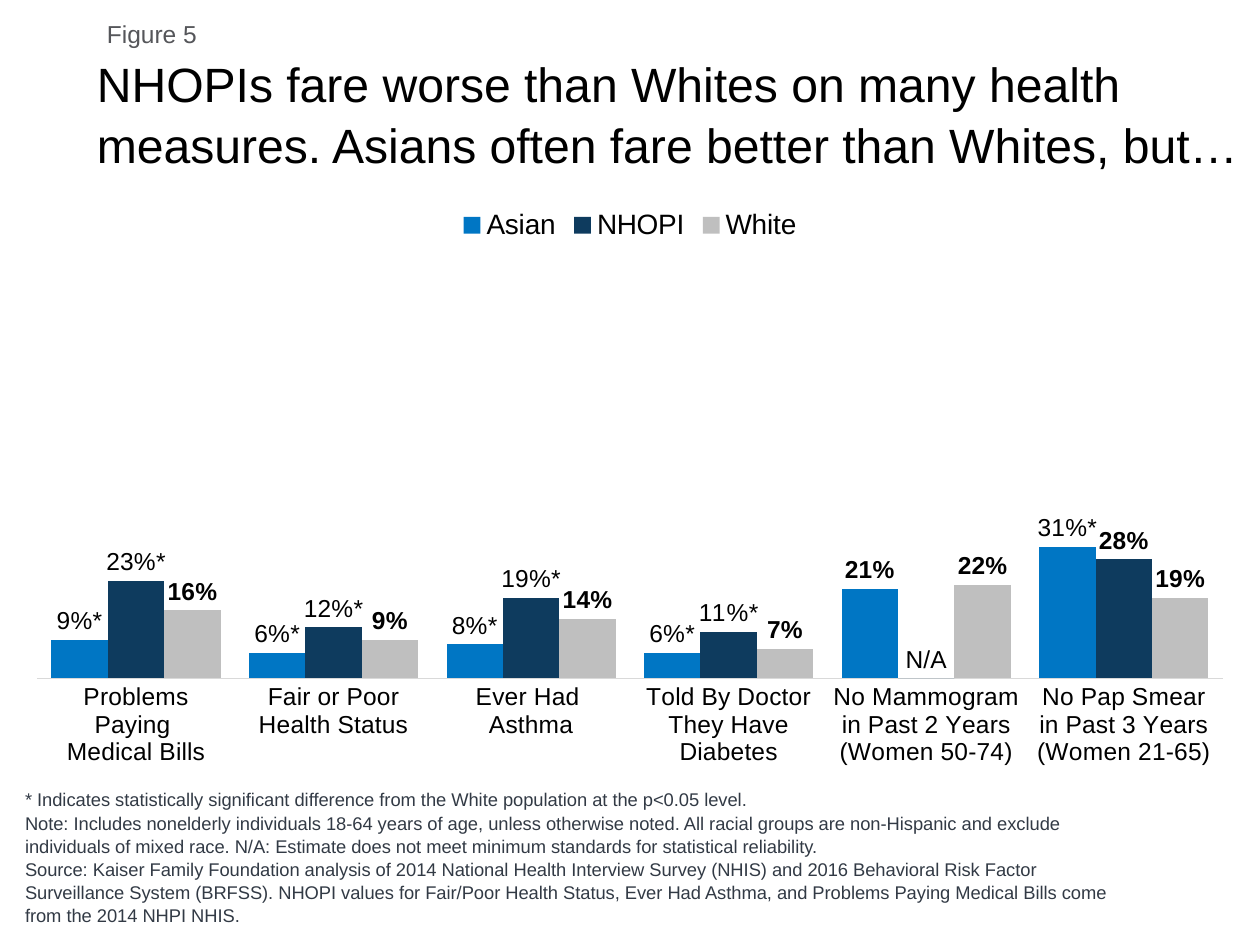
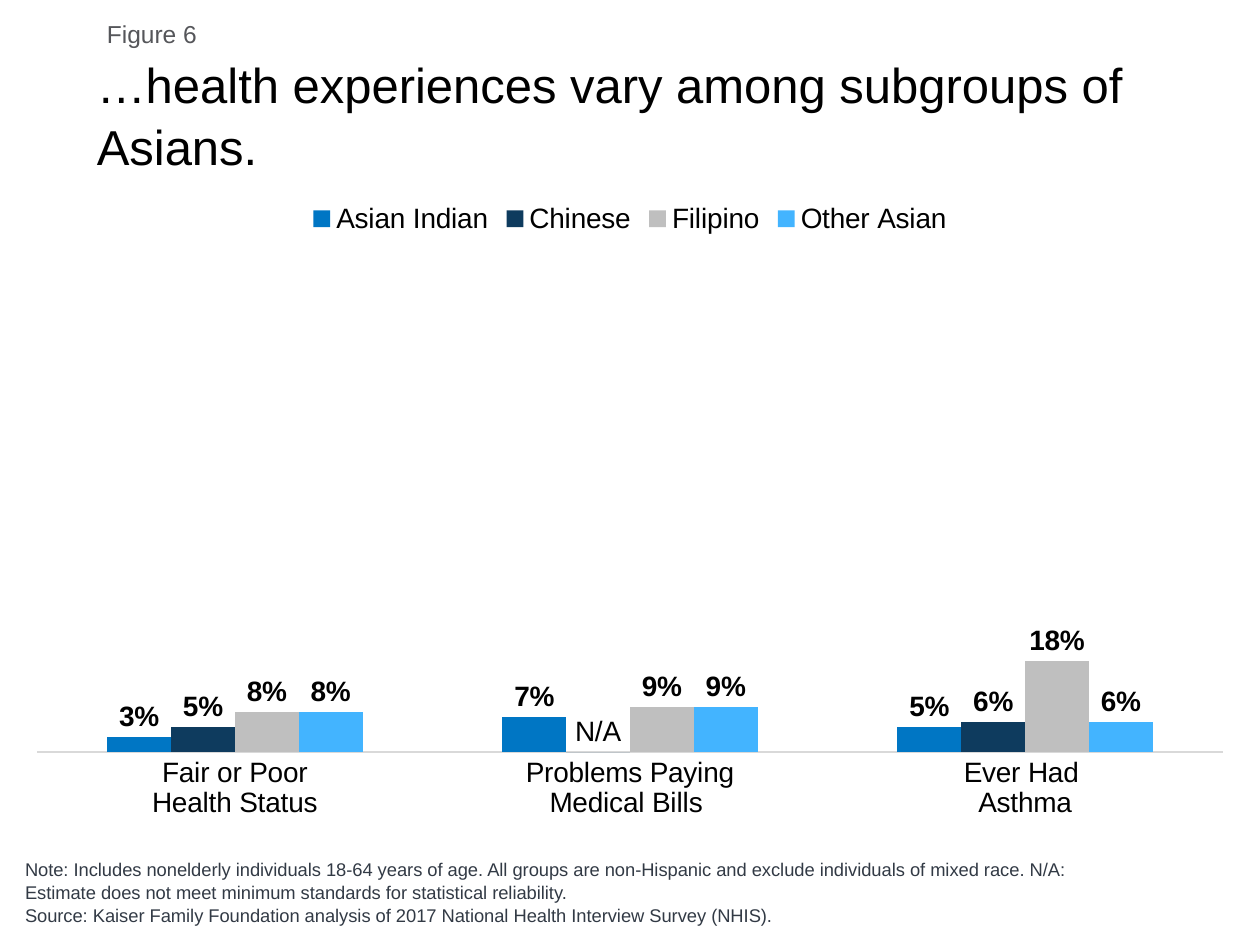
import lxml.etree
import pptx
import pptx.chart.data
import pptx.dml.color
import pptx.enum.chart
import pptx.enum.text
import pptx.oxml.ns
import pptx.util

Inches = pptx.util.Inches
Pt = pptx.util.Pt
RGBColor = pptx.dml.color.RGBColor
qn = pptx.oxml.ns.qn
ANCHOR = pptx.enum.text.MSO_ANCHOR

BLACK = RGBColor(0x00, 0x00, 0x00)
LABEL_GRAY = RGBColor(0x55, 0x56, 0x5A)
NOTE_GRAY = RGBColor(0x32, 0x3A, 0x45)
AXIS_GRAY = RGBColor(0xD9, 0xD9, 0xD9)
BLUE = RGBColor(0x00, 0x76, 0xC4)
NAVY = RGBColor(0x0E, 0x3B, 0x5E)
SILVER = RGBColor(0xBF, 0xBF, 0xBF)
SKY = RGBColor(0x43, 0xB4, 0xFF)
SERIES_COLORS = (BLUE, NAVY, SILVER, SKY)
FONT = "Arial"


class FigureDeck:
    def __init__(self):
        self.deck = pptx.Presentation()
        self.deck.slide_width = Inches(10)
        self.deck.slide_height = Inches(7.5)
        self.page = None

    def style(self, font, size, color=BLACK, bold=False):
        font.name = FONT
        font.size = Pt(size)
        font.bold = bold
        font.color.rgb = color

    def text(self, place, lines, size, color, anchor=ANCHOR.TOP, spacing=1.0):
        box = self.page.shapes.add_textbox(*map(Inches, place))
        frame = box.text_frame
        frame.word_wrap = True
        frame.vertical_anchor = anchor
        frame.text = "\n".join(lines)
        for para in frame.paragraphs:
            para.line_spacing = spacing
            for span in para.runs:
                self.style(span.font, size, color)

    def figure(self, number, title, title_size, title_width, notes):
        self.page = self.deck.slides.add_slide(self.deck.slide_layouts[6])
        self.text((0.75, 0.1, 9.15, 0.34), [f"Figure {number}"], 14, LABEL_GRAY)
        self.text((0.67, 0.36, title_width, 1), [title], title_size, BLACK, spacing=1.05)
        self.text((0.1, 6.8, 8.98, 0.6), notes, 10.5, NOTE_GRAY, ANCHOR.BOTTOM, 1.05)

    def columns(self, top, height, categories, series, special, size, gap, plot_top, plot_height):
        data = pptx.chart.data.CategoryChartData(number_format="0%")
        data.categories = categories
        for name, values in series.items():
            data.add_series(name, values)
        chart = self.page.shapes.add_chart(
            pptx.enum.chart.XL_CHART_TYPE.COLUMN_CLUSTERED,
            Inches(0.1), Inches(top), Inches(9.8), Inches(height), data).chart
        self.style(chart.font, 10)
        chart.has_title = False
        chart.has_legend = True
        chart.legend.position = pptx.enum.chart.XL_LEGEND_POSITION.TOP
        chart.legend.include_in_layout = False
        self.style(chart.legend.font, 16)
        self.axes(chart, size)
        plot = chart.plots[0]
        plot.gap_width = gap
        plot.overlap = 0
        plot.vary_by_categories = False
        for column, color in zip(plot.series, SERIES_COLORS):
            column.format.fill.solid()
            column.format.fill.fore_color.rgb = color
            column.invert_if_negative = False
            self.labels(column, special.get(column.name, {}), size)
        self.plot_layout(chart, 0.02, plot_top, 0.96, plot_height)

    def axes(self, chart, size):
        axis = chart.category_axis
        axis.major_tick_mark = pptx.enum.chart.XL_TICK_MARK.NONE
        axis.format.line.color.rgb = AXIS_GRAY
        axis.format.line.width = Pt(0.75)
        self.style(axis.tick_labels.font, size)
        values = chart.value_axis
        values.minimum_scale = 0
        values.maximum_scale = 1
        values.has_major_gridlines = False
        values.visible = False

    def labels(self, column, special, size):
        outside = pptx.enum.chart.XL_LABEL_POSITION.OUTSIDE_END
        labels = column.data_labels
        labels.show_value = True
        labels.number_format = "0%"
        labels.number_format_is_linked = False
        labels.position = outside
        self.style(labels.font, size, bold=True)
        for index, wording in special.items():
            label = column.points[index].data_label
            label.text_frame.text = wording
            self.style(label.text_frame.paragraphs[0].runs[0].font, size)
            label.position = outside

    def plot_layout(self, chart, left, top, width, height):
        area = chart._chartSpace.find(".//" + qn("c:plotArea"))
        for old in area.findall(qn("c:layout")):
            area.remove(old)
        layout = lxml.etree.Element(qn("c:layout"))
        manual = lxml.etree.SubElement(layout, qn("c:manualLayout"))
        settings = {"layoutTarget": "inner", "xMode": "edge", "yMode": "edge",
                    "x": left, "y": top, "w": width, "h": height}
        for tag, value in settings.items():
            lxml.etree.SubElement(manual, qn("c:" + tag)).set("val", str(value))
        area.insert(0, layout)


def main():
    figures = FigureDeck()
    figures.figure(
        5,
        "NHOPIs fare worse than Whites on many health measures. "
        "Asians often fare better than Whites, but…",
        27.5, 9.33,
        ["* Indicates statistically significant difference from the White population "
         "at the p<0.05 level.",
         "Note: Includes nonelderly individuals 18-64 years of age, unless otherwise noted. "
         "All racial groups are non-Hispanic and exclude individuals of mixed race. "
         "N/A: Estimate does not meet minimum standards for statistical reliability.",
         "Source: Kaiser Family Foundation analysis of 2014 National Health Interview Survey "
         "(NHIS) and 2016 Behavioral Risk Factor Surveillance System (BRFSS). NHOPI values for "
         "Fair/Poor Health Status, Ever Had Asthma, and Problems Paying Medical Bills come "
         "from the 2014 NHPI NHIS."])
    figures.columns(
        1.55, 4.62,
        ["Problems Paying \nMedical Bills", "Fair or Poor\nHealth Status",
         "Ever Had \nAsthma", "Told By Doctor\nThey Have Diabetes",
         "No Mammogram in Past 2 Years (Women 50-74)",
         "No Pap Smear in Past 3 Years (Women 21-65)"],
        {"Asian": (0.09, 0.06, 0.08, 0.06, 0.21, 0.31),
         "NHOPI": (0.23, 0.12, 0.19, 0.11, 0, 0.28),
         "White": (0.16, 0.09, 0.14, 0.07, 0.22, 0.19)},
        {"Asian": {0: "9%*", 1: "6%*", 2: "8%*", 3: "6%*", 5: "31%*"},
         "NHOPI": {0: "23%*", 1: "12%*", 2: "19%*", 3: "11%*", 4: "N/A"}},
        size=14, gap=50, plot_top=0.1, plot_height=0.73)

    figures.figure(
        6, "…health experiences vary among subgroups of Asians.", 28, 9.23,
        ["Note: Includes nonelderly individuals 18-64 years of age. All groups are "
         "non-Hispanic and exclude individuals of mixed race. N/A: Estimate does not meet "
         "minimum standards for statistical reliability.",
         "Source: Kaiser Family Foundation analysis of 2017 National Health Interview "
         "Survey (NHIS)."])
    figures.columns(
        1.5, 5.08,
        ["Fair or Poor\nHealth Status", "Problems Paying\nMedical Bills ", "Ever Had \nAsthma"],
        {"Asian Indian": (0.03, 0.07, 0.05),
         "Chinese": (0.05, 0, 0.06),
         "Filipino": (0.08, 0.09, 0.18),
         "Other Asian": (0.08, 0.09, 0.06)},
        {"Chinese": {1: "N/A"}},
        size=16, gap=219, plot_top=0.09, plot_height=0.79)
    figures.deck.save("out.pptx")


if __name__ == "__main__":
    main()
